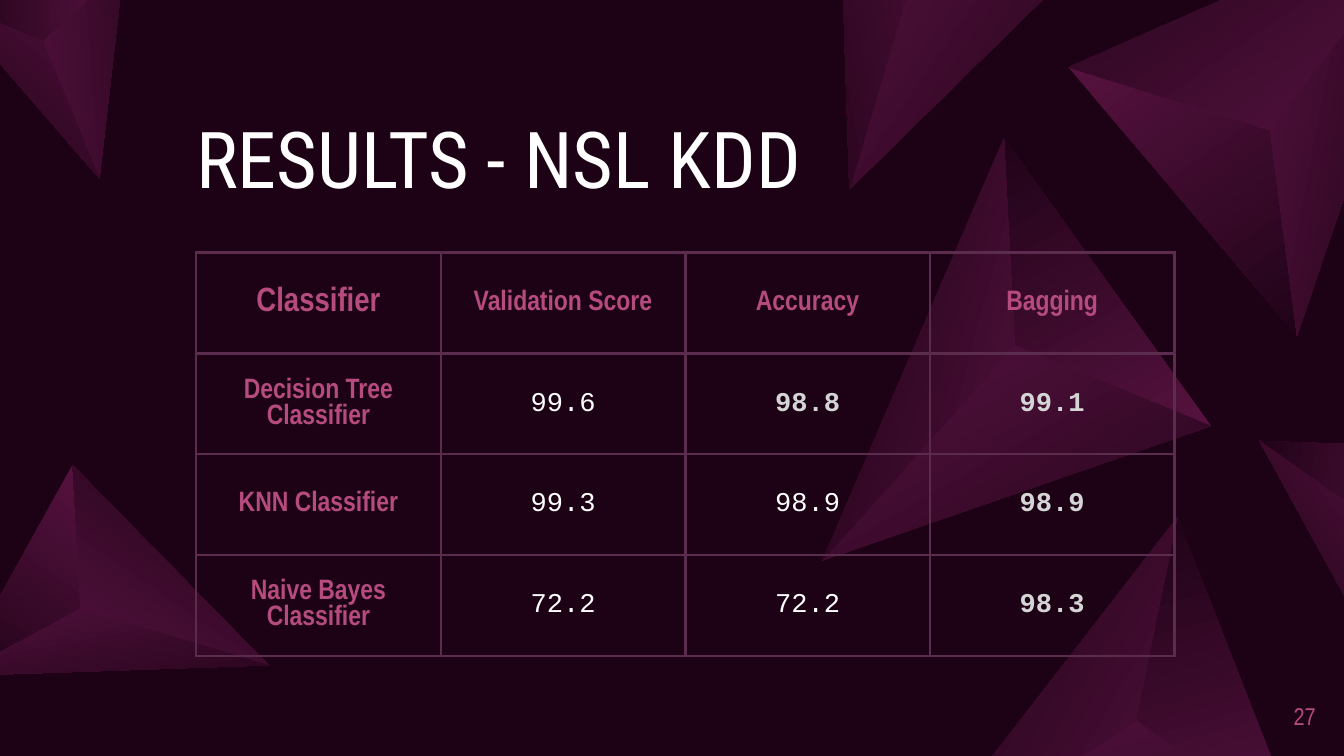
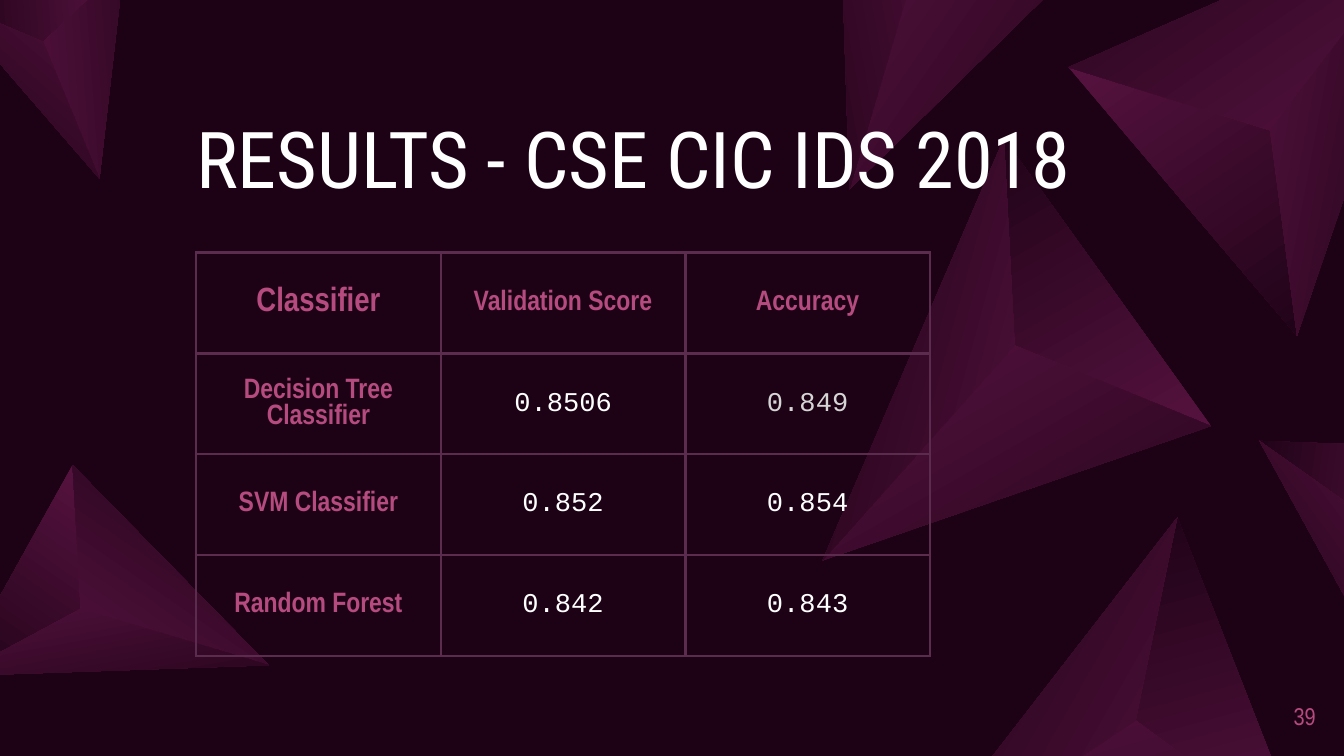
from math import cos, radians, sin

from lxml.etree import SubElement
from pptx import Presentation
from pptx.dml.color import RGBColor
from pptx.enum.text import MSO_ANCHOR, MSO_AUTO_SIZE, PP_ALIGN
from pptx.oxml.ns import qn
from pptx.util import Inches, Pt

COLORS = {
    "background": "1D0216",
    "facet": "591341",
    "border": "5C2C4F",
    "accent": "B64B7F",
    "white": "FFFFFF",
    "muted": "D5D5D5",
}

# style: font, size, colour, bold
STYLES = {
    "title": ("Roboto Condensed", 42, "white", False),
    "corner": ("Arial Narrow", 18, "accent", True),
    "heading": ("Arial Narrow", 15, "accent", True),
    "value": ("Courier New", 14.5, "white", False),
    "muted": ("Courier New", 14.5, "muted", False),
    "best": ("Courier New", 14.5, "muted", True),
    "number": ("Arial Narrow", 13, "accent", False),
}

# Cells are plain text, or (text, style) where the style is not the usual one.
RESULTS = [
    {
        "title": "RESULTS - NSL KDD",
        "number": "27",
        "rows": [
            ["Classifier", "Validation Score", "Accuracy", "Bagging"],
            ["Decision Tree Classifier", "99.6", ("98.8", "best"), ("99.1", "best")],
            ["KNN Classifier", "99.3", "98.9", ("98.9", "best")],
            ["Naive Bayes\nClassifier", "72.2", "72.2", ("98.3", "best")],
        ],
    },
    {
        "title": "RESULTS - CSE CIC IDS 2018",
        "number": "39",
        "rows": [
            ["Classifier", "Validation Score", "Accuracy"],
            ["Decision Tree Classifier", "0.8506", ("0.849", "muted")],
            ["SVM Classifier", "0.852", "0.854"],
            ["Random Forest", "0.842", "0.843"],
        ],
    },
]

# Pyramids seen from above: rotation, three base corners, apex
PYRAMIDS = [
    (100.5, (9.65, 2.5), (7.95, 0.5), (10.75, -0.73), (9.45, 0.97)),
    (169.6, (-0.33, 5.03), (0.54, 3.46), (2, 4.95), (0.6, 4.53)),
    (285.1, (7.47, 1.03), (9.01, 3.17), (6.12, 4.17), (7.55, 2.57)),
    (299.6, (8.76, 3.85), (9.72, 6.3), (6.67, 6.55), (8.45, 5.36)),
    (233.2, (9.37, 3.28), (10.73, 3.33), (10.22, 4.83), (10.02, 3.74)),
    (259.7, (6.21, -2), (8.51, -0.74), (6.32, 1.41), (6.93, -0.65)),
    (220.8, (-0.41, 0), (0.92, -0.24), (0.74, 1.33), (0.32, 0.31)),
]

LEFT = 1.46
TITLE_BOX = (LEFT, 0.88, 7.08, 0.65)
NUMBER_BOX = (9.35, 5.11, 0.44, 0.43)
TABLE_TOP, COLUMN_WIDTH, ROW_HEIGHT = 1.88, 1.82, 0.75


def color(name):
    return RGBColor.from_string(COLORS[name])


def rotate(point, degrees):
    x, y = point
    angle = radians(degrees)
    return x * cos(angle) - y * sin(angle), x * sin(angle) + y * cos(angle)


def place(shape, box):
    shape.left, shape.top, shape.width, shape.height = map(Inches, box)


def add_text(paragraph, text, style, alignment):
    font_name, size, color_name, bold = STYLES[style]
    paragraph.alignment = alignment
    run = paragraph.add_run()
    run.text = text
    run.font.name = font_name
    run.font.size = Pt(size)
    run.font.bold = bold
    run.font.color.rgb = color(color_name)


def prepare_frame(frame, anchor):
    frame.margin_left = frame.margin_right = frame.margin_top = frame.margin_bottom = 0
    frame.word_wrap = True
    frame.auto_size = MSO_AUTO_SIZE.NONE
    frame.vertical_anchor = anchor
    return frame.paragraphs[0]


def add_face(slide, corners, rotation, gradient_angle):
    """Draw a triangle unturned, then turn it so its gradient turns with it."""
    flat = [rotate(corner, -rotation) for corner in corners]
    points = [(Inches(x), Inches(y)) for x, y in flat]
    builder = slide.shapes.build_freeform(*points[0])
    builder.add_line_segments(points[1:], close=True)
    face = builder.convert_to_shape()
    middle = [(min(axis) + max(axis)) / 2 for axis in zip(*flat)]
    center_x, center_y = rotate(middle, rotation)
    face.left = Inches(center_x) - face.width // 2
    face.top = Inches(center_y) - face.height // 2
    face.rotation = rotation
    face.shadow.inherit = False
    face.line.fill.background()
    face.fill.gradient()
    face.fill.gradient_angle = gradient_angle
    for stop, name in zip(face.fill.gradient_stops, ("facet", "background")):
        stop.color.rgb = color(name)
    return face


def add_backdrop(layout, slide):
    """Build the pyramids on a slide and move them to its layout."""
    layout.background.fill.solid()
    layout.background.fill.fore_color.rgb = color("background")
    for rotation, first, second, third, apex in PYRAMIDS:
        faces = [
            ((first, second, apex), 45),
            ((second, third, apex), 225),
            ((first, apex, third), 90),
        ]
        for corners, gradient_angle in faces:
            if max(y for _, y in corners) > 0:
                face = add_face(slide, corners, rotation, gradient_angle)
                face.element.nvSpPr.cNvPr.set("id", str(len(layout.shapes) + 10))
                layout.shapes.element.append(face.element)


def add_borders(cell):
    properties = cell._tc.get_or_add_tcPr()
    for side in ("lnL", "lnR", "lnT", "lnB"):
        line = SubElement(properties, qn(f"a:{side}"), w=str(Pt(1.5)))
        fill = SubElement(line, qn("a:solidFill"))
        SubElement(fill, qn("a:srgbClr"), val=COLORS["border"])


def usual_style(row, column):
    if row == column == 0:
        return "corner"
    return "value" if row and column else "heading"


def add_results_table(slide, rows):
    columns = len(rows[0])
    box = (LEFT, TABLE_TOP, columns * COLUMN_WIDTH, len(rows) * ROW_HEIGHT)
    table = slide.shapes.add_table(len(rows), columns, *map(Inches, box)).table
    table.first_row = table.horz_banding = False
    for row, values in enumerate(rows):
        for column, value in enumerate(values):
            if isinstance(value, str):
                value = (value, usual_style(row, column))
            text, style = value
            cell = table.cell(row, column)
            add_borders(cell)
            cell.fill.background()
            cell.vertical_anchor = MSO_ANCHOR.MIDDLE
            cell.margin_left = cell.margin_right = Inches(0.1)
            cell.margin_top = cell.margin_bottom = Inches(0.07)
            frame = cell.text_frame
            for index, line in enumerate(text.split("\n")):
                paragraph = frame.add_paragraph() if index else frame.paragraphs[0]
                add_text(paragraph, line, style, PP_ALIGN.CENTER)


def fill_slide(slide, result):
    title = slide.shapes.title
    place(title, TITLE_BOX)
    paragraph = prepare_frame(title.text_frame, MSO_ANCHOR.BOTTOM)
    paragraph.line_spacing = 0.9
    add_text(paragraph, result["title"], "title", PP_ALIGN.LEFT)

    add_results_table(slide, result["rows"])

    number = slide.shapes.add_textbox(*map(Inches, NUMBER_BOX))
    paragraph = prepare_frame(number.text_frame, MSO_ANCHOR.MIDDLE)
    add_text(paragraph, result["number"], "number", PP_ALIGN.RIGHT)


def main():
    presentation = Presentation()
    presentation.slide_width = Inches(10)
    presentation.slide_height = presentation.slide_width * 9 // 16
    layout = presentation.slide_layouts.get_by_name("Title Only")
    slides = [presentation.slides.add_slide(layout) for _ in RESULTS]
    add_backdrop(layout, slides[0])
    for slide, result in zip(slides, RESULTS):
        fill_slide(slide, result)
    presentation.save("out.pptx")


if __name__ == "__main__":
    main()
